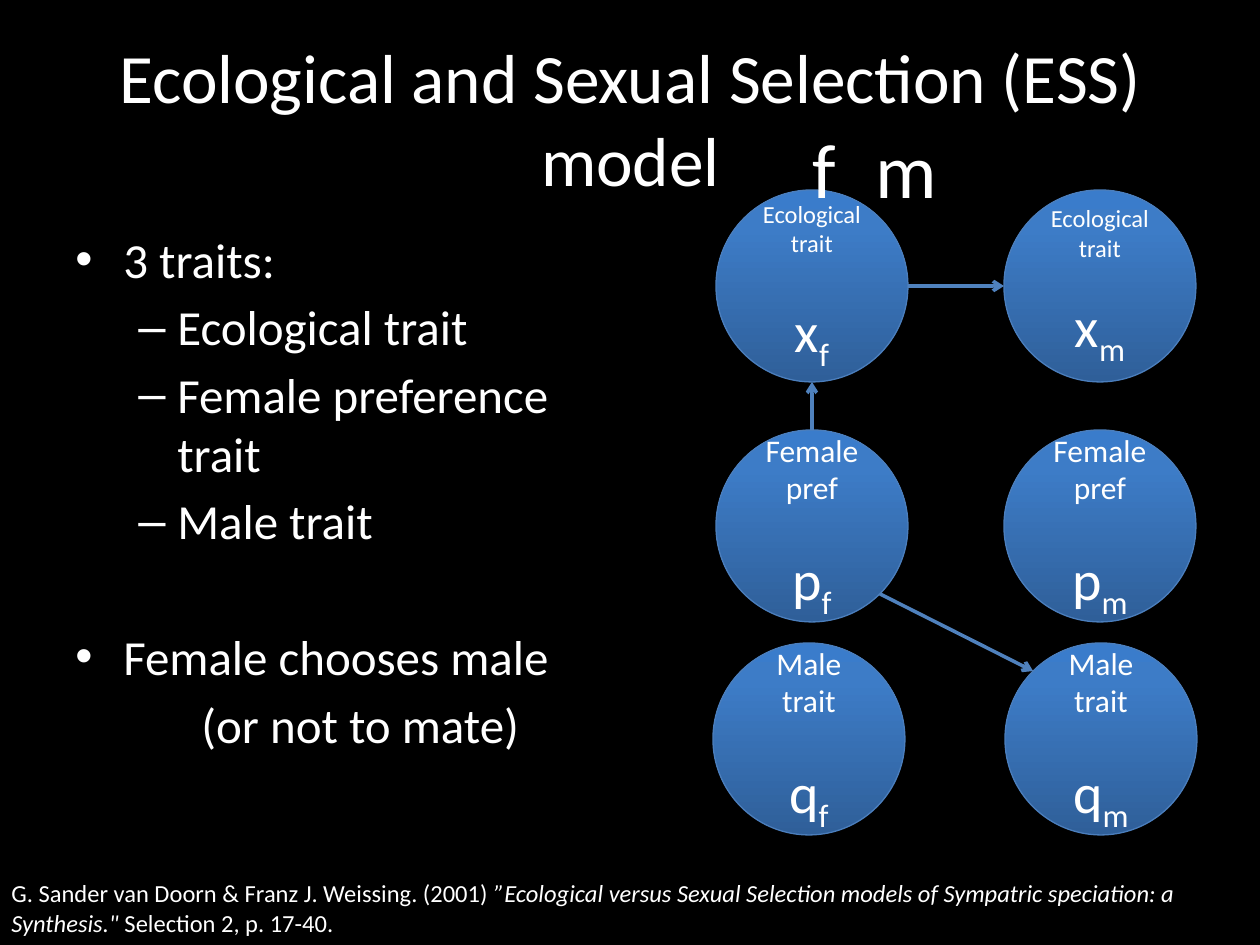
from copy import deepcopy
from math import sqrt

from lxml import etree
from pptx import Presentation
from pptx.dml.color import RGBColor
from pptx.enum import shapes, text
from pptx.oxml.ns import qn
from pptx.util import Pt

# Content
TITLE = "Ecological and Sexual Selection (ESS) model"
# words, bullet, left margin px, first-line indent px, space before pt
POINTS = [
    ("3 traits:", "•", 48, -48, 0),
    ("Ecological trait", "–", 102, -39, 5),
    ("Female preference trait", "–", 102, -39, 5),
    ("Male trait", "–", 102, -39, 5),
    ("Female chooses male", "•", 48, -48, 44),
    ("(or not to mate)", None, 126, 0, 5),
]
SEXES = ("f", "m")
# symbol, top px, left px per sex, label size pt, and per sex: label lines, gap pt
TRAITS = [
    ("x", 190, (716, 1004), 14, ((["Ecological", "trait"], 22), (["Ecological trait"], 17))),
    ("p", 430, (716, 1004), 18, ((["Female pref"], 22), (["Female pref"], 22))),
    ("q", 643, (713, 1005), 18, ((["Male trait"], 22), (["Male trait"], 22))),
]
# from circle, direction of its edge, to circle, direction of its edge
DIAGONAL = 1 / sqrt(2)
ARROWS = [
    ("pf", (DIAGONAL, DIAGONAL), "qm", (-DIAGONAL, -DIAGONAL)),
    ("xf", (1, 0), "xm", (-1, 0)),
    ("pf", (0, -1), "xf", (0, 1)),
]
CITATION = [
    ("G. Sander van Doorn & Franz J. Weissing. (2001) ", False),
    ("”Ecological versus Sexual Selection models of Sympatric speciation: a Synthesis.\"", True),
    (" Selection 2, p. 17-40.", False),
]

# Format
BLACK = RGBColor(0x00, 0x00, 0x00)
WHITE = RGBColor(0xFF, 0xFF, 0xFF)
RIM = RGBColor(0x4B, 0x7E, 0xBC)
ARROW = RGBColor(0x4F, 0x81, 0xBD)
GRADIENT = [
    (0, RGBColor(0x2F, 0x5F, 0x99)),
    (0.8, RGBColor(0x3D, 0x7C, 0xC7)),
    (1, RGBColor(0x3A, 0x7C, 0xCB)),
]
DIAMETER = 192


def px(length):
    return round(length * 914400 / 126)


def style(font, size, **extra):
    font.color.rgb = WHITE
    for name, value in {"name": "Calibri", "size": Pt(size), **extra}.items():
        setattr(font, name, value)


def add_run(paragraph, words, size, **extra):
    run = paragraph.add_run()
    run.text = words
    style(run.font, size, **extra)
    return run


def next_paragraph(frame, first):
    return frame.paragraphs[0] if first else frame.add_paragraph()


def indent(paragraph, margin, first_line):
    properties = paragraph._p.get_or_add_pPr()
    properties.set("marL", str(px(margin)))
    properties.set("indent", str(px(first_line)))
    return properties


def add_text_frame(*place):
    frame = slide.shapes.add_textbox(*map(px, place)).text_frame
    frame.word_wrap = True
    return frame


presentation = Presentation()
presentation.slide_width, presentation.slide_height = px(1260), px(945)
slide = presentation.slides.add_slide(presentation.slide_layouts[5])
slide.background.fill.solid()
slide.background.fill.fore_color.rgb = BLACK

# Title
title = slide.shapes.title
title.left, title.top, title.width, title.height = map(px, (63, 38, 1135, 158))
title.text_frame.auto_size = text.MSO_AUTO_SIZE.NONE
title.text_frame.vertical_anchor = text.MSO_ANCHOR.MIDDLE
title.text_frame.paragraphs[0].alignment = text.PP_ALIGN.CENTER
add_run(title.text_frame.paragraphs[0], TITLE, 39.6)

# Bullet points
points = add_text_frame(63, 223, 568, 624)
for number, (words, bullet, margin, first_line, gap) in enumerate(POINTS):
    point = next_paragraph(points, number == 0)
    properties = indent(point, margin, first_line)
    if bullet:
        etree.SubElement(properties, qn("a:buFont")).set("typeface", "Arial")
        etree.SubElement(properties, qn("a:buChar")).set("char", bullet)
    if gap:
        point.space_before = Pt(gap)
    add_run(point, words, 28)

# Trait circles, one column per sex
centres = {}
for symbol, top, lefts, label_size, labels in TRAITS:
    for sex, left, (lines, gap) in zip(SEXES, lefts, labels):
        circle = slide.shapes.add_shape(
            shapes.MSO_SHAPE.OVAL, *map(px, (left, top, DIAMETER, DIAMETER)))
        centres[symbol + sex] = (left + DIAMETER / 2, top + DIAMETER / 2)
        circle.shadow.inherit = False
        circle.line.color.rgb = RIM
        circle.line.width = Pt(0.75)
        circle.fill.gradient()
        circle.fill.gradient_angle = 90
        stops = circle._element.spPr.find(".//" + qn("a:gsLst"))
        stops.append(deepcopy(stops[0]))
        for stop, (position, color) in zip(circle.fill.gradient_stops, GRADIENT):
            stop.position = position
            stop.color.rgb = color

        frame = circle.text_frame
        frame.word_wrap = True
        frame.vertical_anchor = text.MSO_ANCHOR.MIDDLE
        for number, line in enumerate(lines):
            label = next_paragraph(frame, number == 0)
            label.alignment = text.PP_ALIGN.CENTER
            add_run(label, line, label_size)
        variable = frame.add_paragraph()
        variable.alignment = text.PP_ALIGN.CENTER
        variable.space_before = Pt(gap)
        add_run(variable, symbol, 32)
        add_run(variable, sex, 32).font._element.set("baseline", "-25000")

# Arrows between circle edges
for start, start_side, end, end_side in ARROWS:
    ends = [centre + side * DIAMETER / 2
            for circle, sides in ((start, start_side), (end, end_side))
            for centre, side in zip(centres[circle], sides)]
    arrow = slide.shapes.add_connector(shapes.MSO_CONNECTOR.STRAIGHT, *map(px, ends))
    arrow.line.color.rgb = ARROW
    arrow.line.width = Pt(2)
    etree.SubElement(arrow.line._get_or_add_ln(), qn("a:tailEnd")).set("type", "arrow")
    etree.SubElement(arrow._element.spPr, qn("a:effectLst"))

# Column heads
heads = add_text_frame(731, 89, 568, 158)
heads.vertical_anchor = text.MSO_ANCHOR.MIDDLE
tabs = etree.SubElement(indent(heads.paragraphs[0], 69, 0), qn("a:tabLst"))
tab = etree.SubElement(tabs, qn("a:tab"))
tab.set("pos", str(px(314)))
tab.set("algn", "l")
add_run(heads.paragraphs[0], "\t".join(SEXES), 44)

# Citation
citation = add_text_frame(-1, 872, 1197, 72)
for words, italic in CITATION:
    add_run(citation.paragraphs[0], words, 14, italic=italic)

presentation.save("out.pptx")
